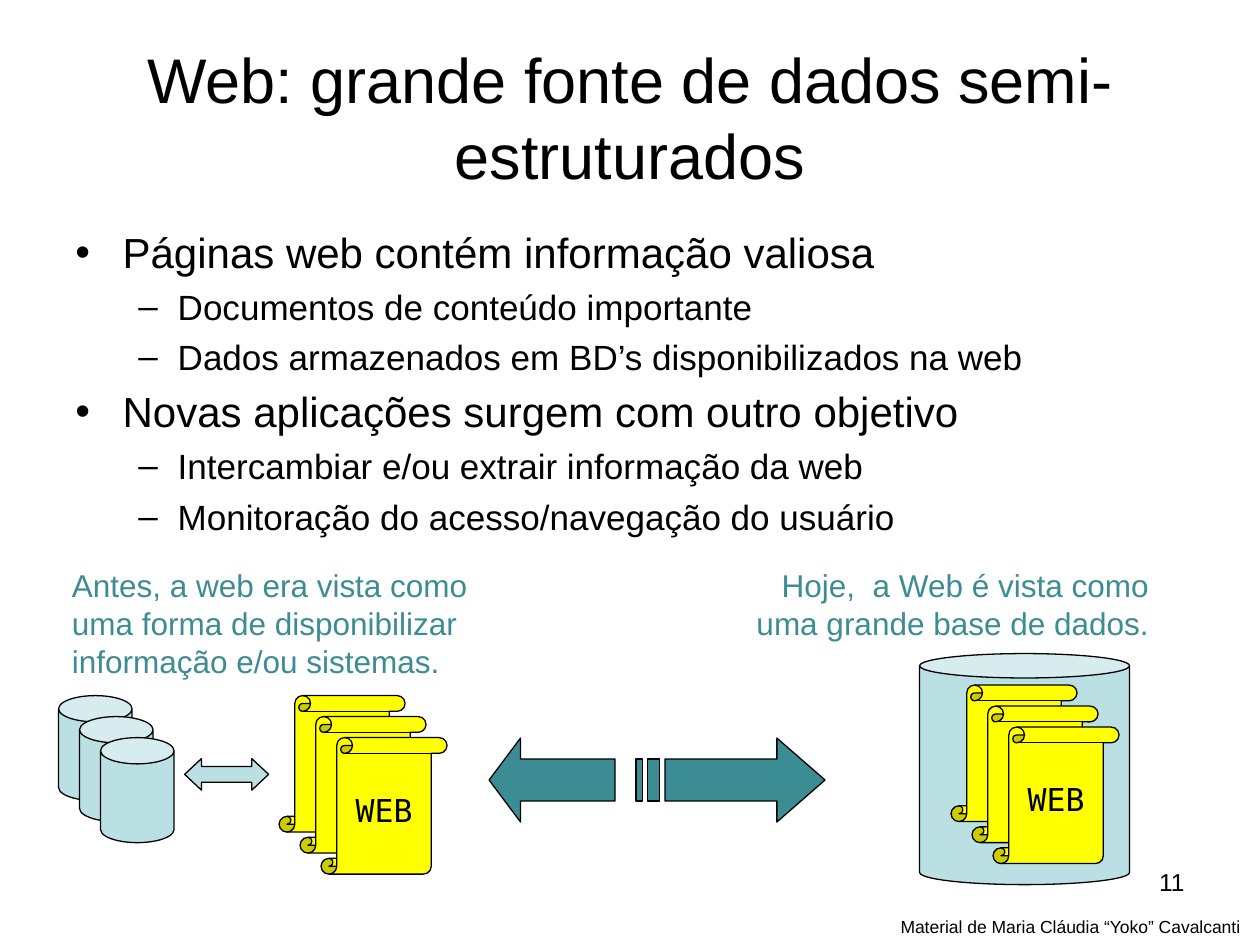
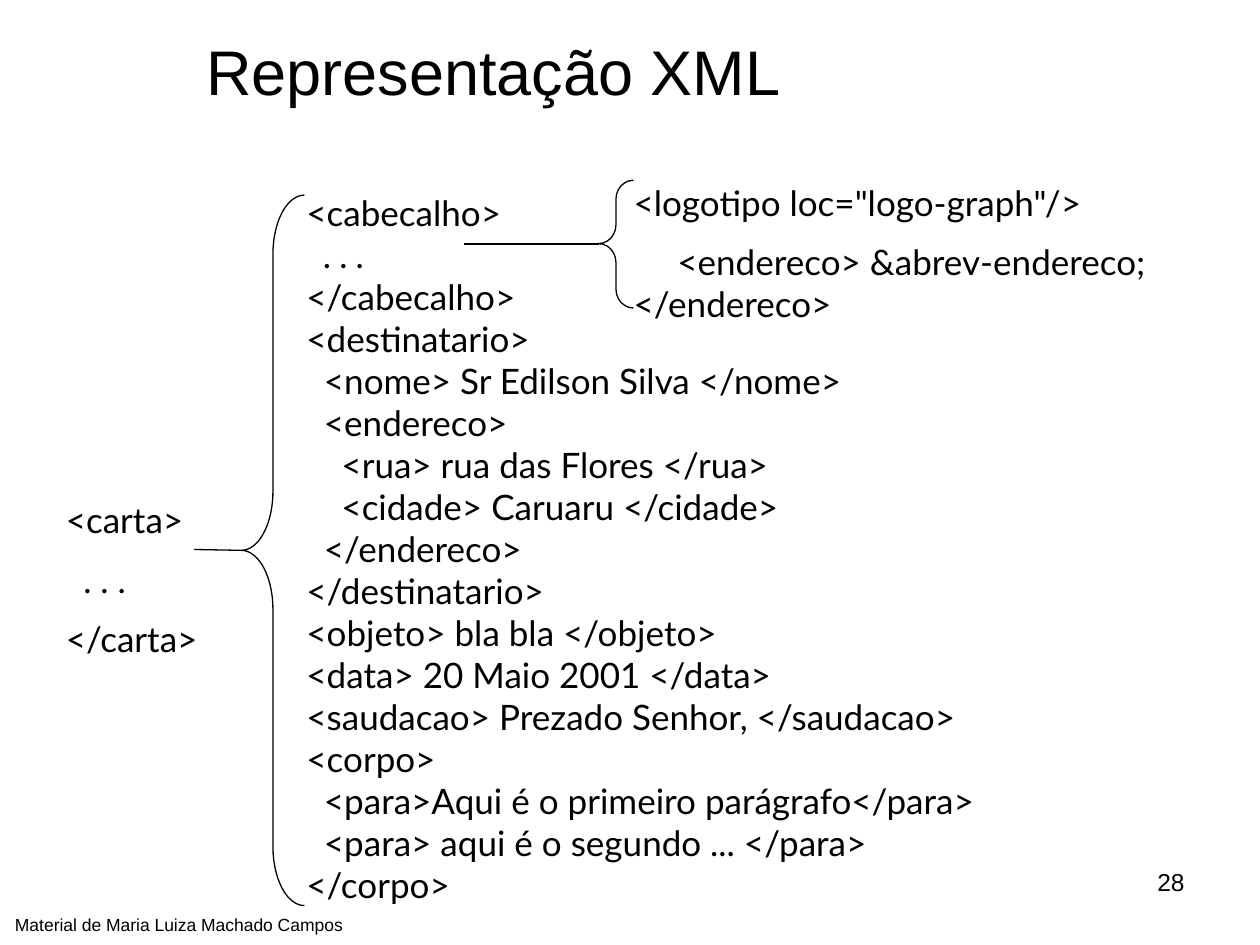
from lxml.etree import SubElement
from pptx import Presentation
from pptx.dml.color import RGBColor
from pptx.enum.shapes import MSO_CONNECTOR as LINE, MSO_SHAPE as SHAPE
from pptx.enum.text import MSO_ANCHOR as ANCHOR, PP_ALIGN as ALIGN
from pptx.oxml.ns import qn
from pptx.util import Pt

BLACK = RGBColor(0x00, 0x00, 0x00)
TEAL = RGBColor(0x3C, 0x8C, 0x93)
PALE_BLUE = RGBColor(0xBB, 0xE0, 0xE3)
YELLOW = RGBColor(0xFF, 0xFF, 0x00)

TITLE = {"size": Pt(36), "name": "Arial"}
LEVELS = [
    {"bullet": "•", "left": 27, "hang": -27, "font": {"size": Pt(24), "name": "Arial"}},
    {"bullet": "–", "left": 58.5, "hang": -22.5, "font": {"size": Pt(20), "name": "Arial"}},
]
CAPTION = {"size": Pt(18), "name": "Arial"}
SCROLL_LABEL = {"size": Pt(18), "name": "DejaVu Sans Mono"}
CODE = {"size": Pt(20), "name": "Lato"}
CREDIT = {"size": Pt(10), "name": "Arial"}
NUMBER = {"size": Pt(14), "name": "Arial"}
CODE_STEP = 10
STACK_STEP = 12

BULLETS = [
    (0, "Páginas web contém informação valiosa"),
    (1, "Documentos de conteúdo importante"),
    (1, "Dados armazenados em BD’s disponibilizados na web"),
    (0, "Novas aplicações surgem com outro objetivo"),
    (1, "Intercambiar e/ou extrair informação da web"),
    (1, "Monitoração do acesso/navegação do usuário"),
]
BEFORE = [
    "Antes, a web era vista como",
    "uma forma de disponibilizar",
    "informação e/ou sistemas.",
]
TODAY = ["Hoje,  a Web é vista como uma grande base de dados."]
LETTER = [(0, "<carta>"), (1, ". . ."), (0, "</carta>")]
LETTER_PARTS = [
    (0, "<cabecalho>"),
    (1, ". . ."),
    (0, "</cabecalho>"),
    (0, "<destinatario>"),
    (1, "<nome> Sr Edilson Silva </nome>"),
    (1, "<endereco>"),
    (2, "<rua> rua das Flores </rua>"),
    (2, "<cidade> Caruaru </cidade>"),
    (1, "</endereco>"),
    (0, "</destinatario>"),
    (0, "<objeto> bla bla </objeto>"),
    (0, "<data> 20 Maio 2001 </data>"),
    (0, "<saudacao> Prezado Senhor, </saudacao>"),
    (0, "<corpo>"),
    (1, "<para>Aqui é o primeiro parágrafo</para>"),
    (1, "<para> aqui é o segundo ... </para>"),
    (0, "</corpo>"),
]
HEADER_PARTS = [
    (0, '<logotipo loc="logo-graph"/>'),
    (2.5, "<endereco> &abrev-endereco; </endereco>"),
]
STRIPED_ARROW = [
    [(16.5, 12), (80.5, 12), (80.5, 0), (108, 24), (80.5, 48), (80.5, 36), (16.5, 36)],
    [(6.5, 12), (13.5, 12), (13.5, 36), (6.5, 36)],
    [(0, 12), (3.5, 12), (3.5, 36), (0, 36)],
]


def write(para, text, font, color=BLACK, align=ALIGN.LEFT):
    """Put one formatted span of text into a paragraph."""
    para.alignment = align
    span = para.add_run()
    span.text = text
    span.font.color.rgb = color
    for key, value in font.items():
        setattr(span.font, key, value)
    return span


def indent(para, left, first):
    """Set the left margin and first-line indent of a paragraph, in points."""
    settings = para._p.get_or_add_pPr()
    settings.set("marL", str(Pt(left)))
    settings.set("indent", str(Pt(first)))
    return settings


def add_text(page, place, lines, font, gap=0, wrap=True, anchor=ANCHOR.TOP, **style):
    """Add a text box with one paragraph per line and return its paragraphs."""
    frame = page.shapes.add_textbox(*map(Pt, place)).text_frame
    frame.word_wrap = wrap
    frame.vertical_anchor = anchor
    paras = [frame.paragraphs[0]] + [frame.add_paragraph() for _ in lines[1:]]
    for number, (para, line) in enumerate(zip(paras, lines)):
        para.space_before = Pt(gap if number else 0)
        write(para, line, font, **style)
    return paras


def add_title(page, place, text):
    """Add the centred slide title."""
    add_text(page, place, [text], TITLE, anchor=ANCHOR.MIDDLE, align=ALIGN.CENTER)


def add_footer(page, number, credit, left, top, width):
    """Add the slide number and the credit for the material."""
    add_text(page, (516, 492, 168, 37.5), [str(number)], NUMBER, align=ALIGN.RIGHT)
    add_text(page, (left, top, width, 19.5), [credit], CREDIT, wrap=False)


def add_bullets(page, place, items):
    """Add the two-level bulleted list."""
    frame = page.shapes.add_textbox(*map(Pt, place)).text_frame
    frame.word_wrap = True
    for number, (level, text) in enumerate(items):
        para = frame.add_paragraph() if number else frame.paragraphs[0]
        style = LEVELS[level]
        para.level = level
        para.space_before = Pt(4.6 + level * 0.2 if number else 0)
        write(para, text, style["font"])
        settings = indent(para, style["left"], style["hang"])
        SubElement(settings, qn("a:buFont")).set("typeface", "Arial")
        SubElement(settings, qn("a:buChar")).set("char", style["bullet"])


def add_code(page, place, lines, gap=0):
    """Add XML lines, each indented on its first line by its depth."""
    paras = add_text(page, place, [text for _, text in lines], CODE, gap)
    for para, (depth, _) in zip(paras, lines):
        indent(para, 0, depth * CODE_STEP)
    return paras


def outline(shape, fill=None):
    """Give a shape a thin black line, an optional fill and no shadow."""
    shape.shadow.inherit = False
    shape.line.color.rgb = BLACK
    shape.line.width = Pt(0.75)
    if fill is None:
        shape.fill.background()
    else:
        shape.fill.solid()
        shape.fill.fore_color.rgb = fill


def add_figure(page, kind, place, fill=None, adjust=()):
    """Add an outlined preset shape."""
    shape = page.shapes.add_shape(kind, *map(Pt, place))
    outline(shape, fill)
    for number, value in enumerate(adjust):
        shape.adjustments[number] = value
    return shape


def add_stack(page, kind, place, fill, adjust):
    """Add three overlapping copies of a shape and return the front one."""
    left, top, width, height = place
    for shift in range(0, 3 * STACK_STEP, STACK_STEP):
        spot = (left + shift, top + shift, width, height)
        front = add_figure(page, kind, spot, fill, adjust)
    return front


def add_web_pages(page, left, top):
    """Add a stack of scrolls with the front one labelled."""
    front = add_stack(page, SHAPE.VERTICAL_SCROLL, (left, top, 72, 78), YELLOW, [0.125])
    front.text_frame.word_wrap = False
    front.text_frame.vertical_anchor = ANCHOR.MIDDLE
    write(front.text_frame.paragraphs[0], "WEB", SCROLL_LABEL, align=ALIGN.CENTER)


def add_striped_arrow(page, left, top):
    """Add the right arrow with two stripes at its tail."""
    contours = [[(Pt(left + x), Pt(top + y)) for x, y in part] for part in STRIPED_ARROW]
    builder = page.shapes.build_freeform(*contours[0][0])
    for number, contour in enumerate(contours):
        if number:
            builder.move_to(*contour[0])
        builder.add_line_segments(contour[1:], close=True)
    outline(builder.convert_to_shape(), TEAL)


def add_brace(page, place, adjust, stem_left, stem_top):
    """Add a left brace with a stem joined to its point."""
    brace = add_figure(page, SHAPE.LEFT_BRACE, place, adjust=adjust)
    start = Pt(stem_left), Pt(stem_top)
    stem = page.shapes.add_connector(LINE.STRAIGHT, *start, *start)
    stem.end_connect(brace, 1)
    stem.line.color.rgb = BLACK
    stem.line.width = Pt(0.75)
    SubElement(stem._element.spPr, qn("a:effectLst"))


def build_web_page(page):
    """Build the slide about the web as a source of data."""
    add_title(page, (36, 21.5, 648, 90), "Web: grande fonte de dados semi-estruturados")
    add_bullets(page, (36, 126, 648, 356), BULLETS)
    add_figure(page, SHAPE.CAN, (525.5, 373.5, 120, 132), PALE_BLUE, [0.116])
    add_text(page, (34, 320, 269, 73), BEFORE, CAPTION, color=TEAL)
    add_text(page, (423.5, 320, 240, 51), TODAY, CAPTION, color=TEAL, align=ALIGN.RIGHT)
    add_stack(page, SHAPE.CAN, (33.5, 397.5, 42, 60), PALE_BLUE, [0.357])
    add_figure(page, SHAPE.LEFT_RIGHT_ARROW, (105.5, 433.5, 48, 18), PALE_BLUE, [0.5, 0.533])
    add_striped_arrow(page, 363.5, 421.75)
    add_figure(page, SHAPE.LEFT_ARROW, (279.5, 421.75, 72, 48), TEAL, [0.5, 0.375])
    add_web_pages(page, 543.5, 391.5)
    add_web_pages(page, 159.5, 397.5)
    add_footer(page, 11, "Material de Maria Cláudia “Yoko” Cavalcanti", 507.5, 520, 212)


def build_xml_page(page):
    """Build the slide with the XML form of a letter."""
    add_title(page, (26.5, 10, 511, 60.5), "Representação XML")
    add_code(page, (30.5, 281.5, 126, 79), LETTER, gap=10)
    parts = add_code(page, (168, 106, 494.5, 415.5), LETTER_PARTS)
    parts[1].runs[0].font.italic = True
    add_brace(page, (138, 111.5, 36, 406), [0.939, 0.5], 111, 314)
    add_code(page, (355, 100, 324, 79), HEADER_PARTS, gap=10)
    add_brace(page, (342, 103, 20, 73), [0.536, 0.496], 265, 139.5)
    add_footer(page, 28, "Material de Maria Luiza Machado Campos", 1.5, 518.5, 201.5)


def main():
    """Build and save the deck."""
    deck = Presentation()
    deck.slide_width, deck.slide_height = Pt(720), Pt(540)
    for build in (build_web_page, build_xml_page):
        build(deck.slides.add_slide(deck.slide_layouts[6]))
    deck.save("out.pptx")


if __name__ == "__main__":
    main()
